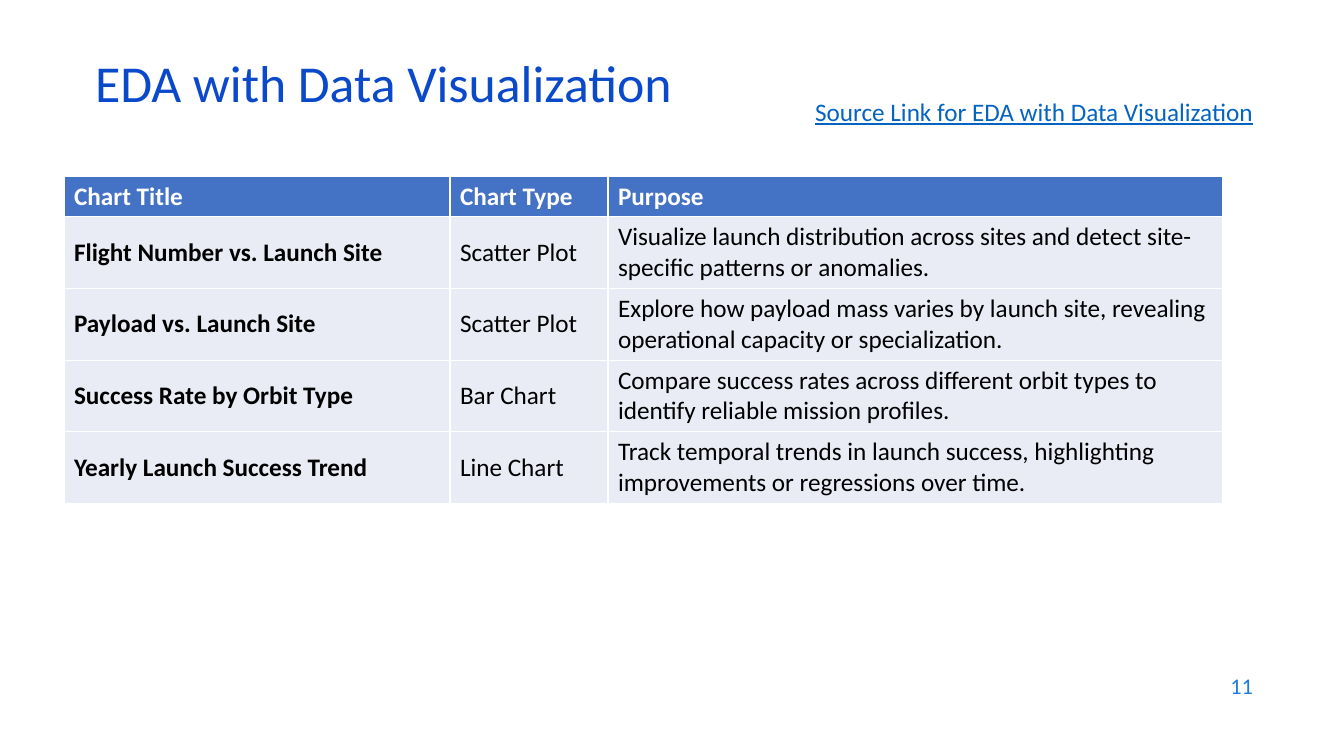
import pptx
import pptx.dml.color
import pptx.enum.text
import pptx.util

ALIGN = pptx.enum.text.PP_ALIGN
ANCHOR = pptx.enum.text.MSO_ANCHOR
EMU_PER_PX = 914400 / 100.8


def px(length):
    return pptx.util.Emu(round(length * EMU_PER_PX))


def write(text_frame, text, size, color, align=ALIGN.LEFT, **font_format):
    paragraph = text_frame.paragraphs[0]
    paragraph.text = text
    paragraph.alignment = align
    font = paragraph.font
    font_values = {"name": "Calibri", "size": pptx.util.Pt(size), "bold": False, **font_format}
    for name, value in font_values.items():
        setattr(font, name, value)
    font.color.rgb = pptx.dml.color.RGBColor.from_string(color)
    return paragraph


presentation = pptx.Presentation()
presentation.slide_width = px(1344)
presentation.slide_height = px(756)
slide = presentation.slides.add_slide(presentation.slide_layouts[5])

title = slide.shapes.title
title_place = {"left": px(85), "top": px(59), "width": px(1159), "height": px(61)}
for name, value in title_place.items():
    setattr(title, name, value)
title_frame = title.text_frame
title_frame.auto_size = pptx.enum.text.MSO_AUTO_SIZE.NONE
title_frame.vertical_anchor = ANCHOR.MIDDLE
title_paragraph = write(title_frame, "EDA with Data Visualization", 37, "0B49CB")
title_paragraph.line_spacing = 0.7

rows = [
    ("Chart Title", "Chart Type", "Purpose"),
    ("Flight Number vs. Launch Site", "Scatter Plot",
     "Visualize launch distribution across sites and detect site-specific patterns or anomalies."),
    ("Payload vs. Launch Site", "Scatter Plot",
     "Explore how payload mass varies by launch site, revealing operational capacity or specialization."),
    ("Success Rate by Orbit Type", "Bar Chart",
     "Compare success rates across different orbit types to identify reliable mission profiles."),
    ("Yearly Launch Success Trend", "Line Chart",
     "Track temporal trends in launch success, highlighting improvements or regressions over time."),
]
column_widths = [386, 158, 615]
row_heights = [40] + [71] * (len(rows) - 1)

table = slide.shapes.add_table(
    len(rows), len(column_widths), px(64), px(176), px(sum(column_widths)), px(sum(row_heights))
).table
table.horz_banding = False
for column, width in zip(table.columns, column_widths):
    column.width = px(width)
for row_index, texts in enumerate(rows):
    table.rows[row_index].height = px(row_heights[row_index])
    is_header = row_index == 0
    for column_index, text in enumerate(texts):
        cell = table.cell(row_index, column_index)
        cell.vertical_anchor = ANCHOR.MIDDLE
        cell.fill.solid()
        cell.fill.fore_color.rgb = pptx.dml.color.RGBColor.from_string("4472C4" if is_header else "E9EBF5")
        write(cell.text_frame, text, 18, "FFFFFF" if is_header else "000000",
              bold=is_header or column_index == 0)

right_aligned_notes = [
    ("Source Link for EDA with Data Visualization", (738, 91, 525, 40), 18, "0563C1", ANCHOR.TOP, True),
    ("11", (961, 664, 302, 44), 16, "1C7DDB", ANCHOR.MIDDLE, False),
]
for text, place, size, color, anchor, underline in right_aligned_notes:
    text_frame = slide.shapes.add_textbox(*map(px, place)).text_frame
    text_frame.word_wrap = True
    text_frame.vertical_anchor = anchor
    write(text_frame, text, size, color, ALIGN.RIGHT, underline=underline)

presentation.save("out.pptx")
